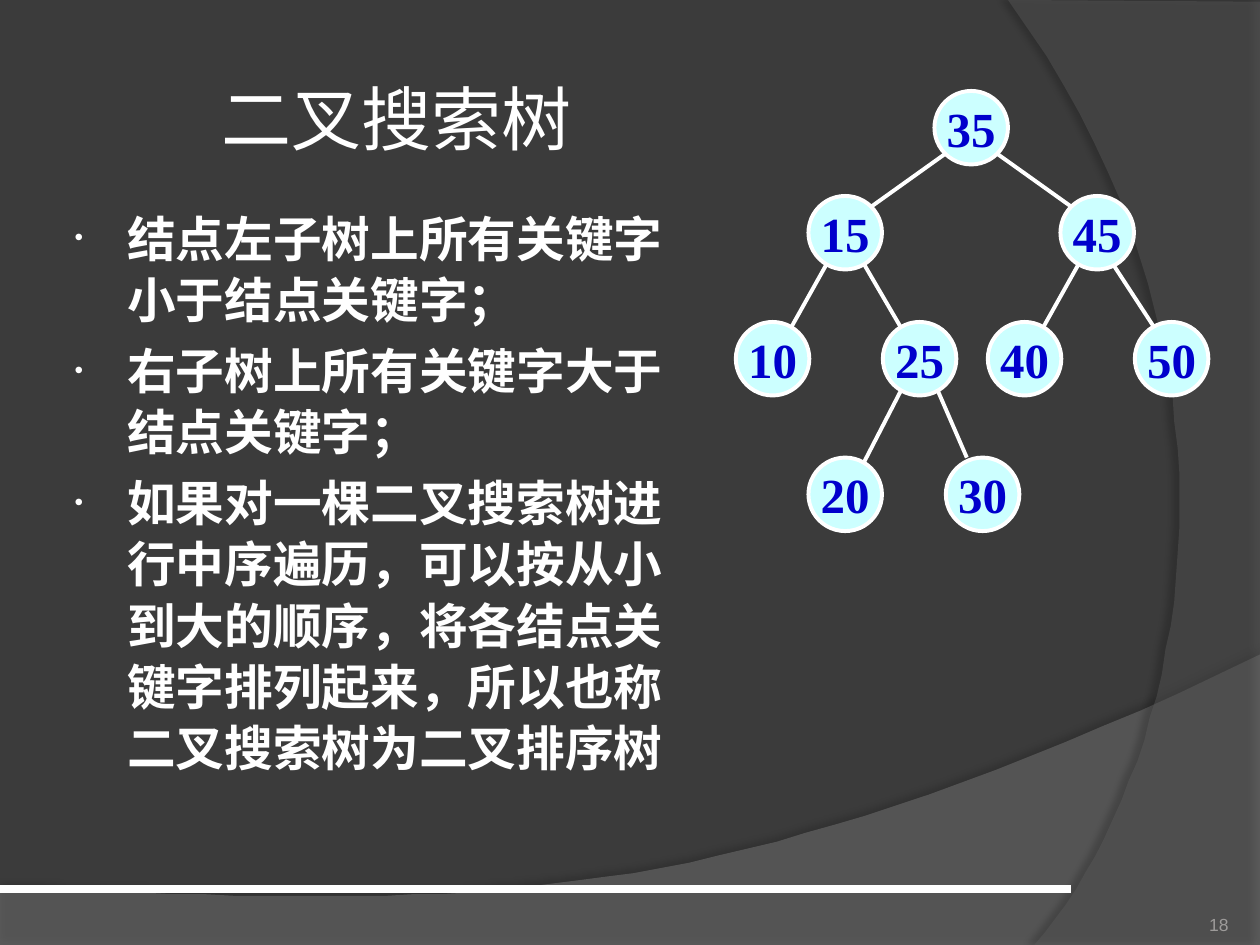
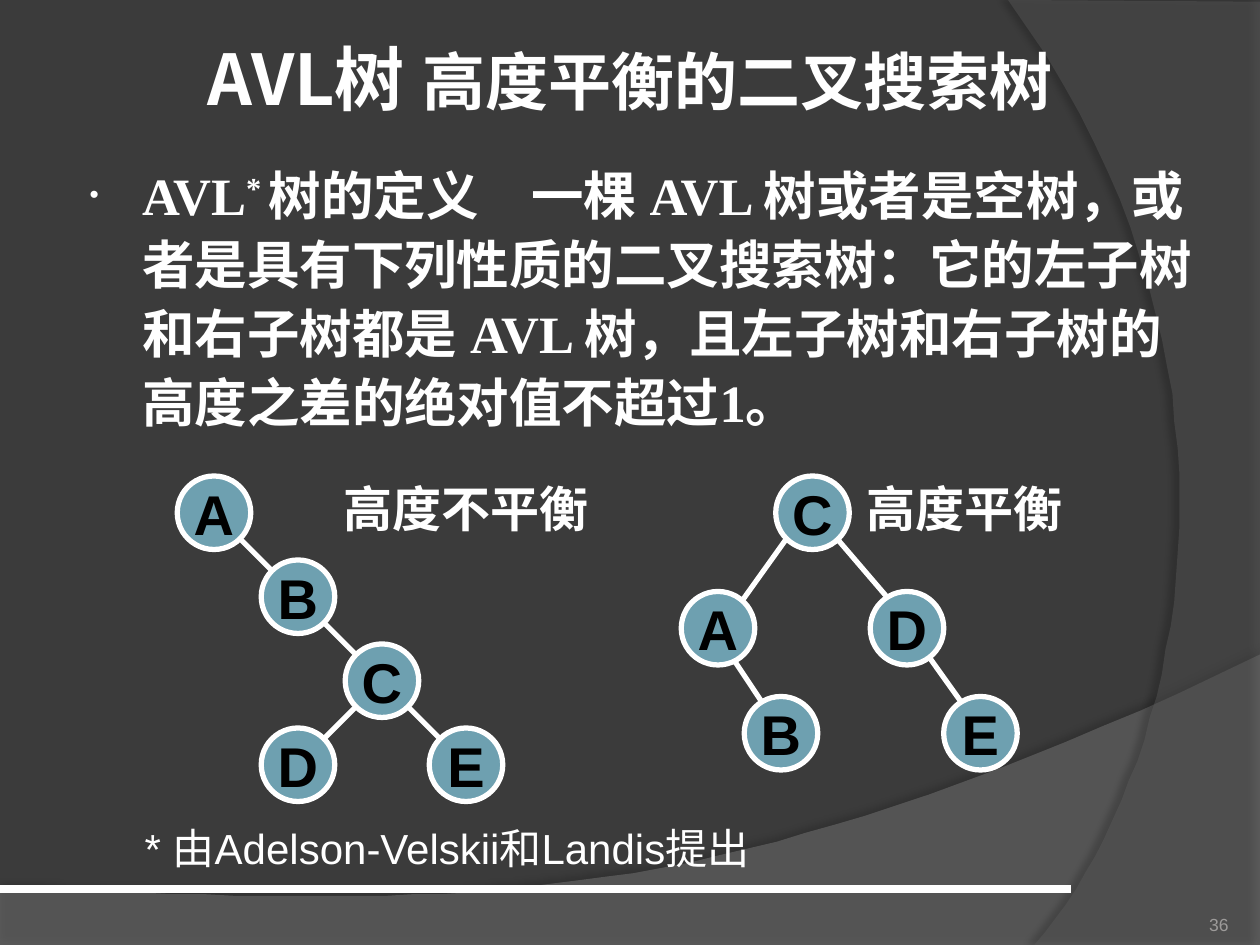
from dataclasses import dataclass

from lxml.etree import SubElement
from pptx import Presentation
from pptx.dml.color import RGBColor
from pptx.enum.shapes import MSO_CONNECTOR as Connector, MSO_SHAPE as Preset
from pptx.enum.text import MSO_ANCHOR as Anchor, MSO_AUTO_SIZE as AutoSize, PP_ALIGN as Align
from pptx.oxml.ns import qn
from pptx.util import Pt

COLORS = {
    "background": "3B3B3B",
    "white": "FFFFFF",
    "wave": "7F7F7F",
    "arc": "5E5E5E",
    "shadow": "000000",
    "page": "9D9B9A",
    "key_fill": "CCFFFF",
    "key_text": "0000CC",
    "letter_fill": "6EA0B0",
    "letter_text": "000000",
}
EAST_ASIAN_FONT = "Roboto"
NODE_SIZE = 42

Point = tuple[float, float]
Box = tuple[float, float, float, float]


@dataclass(frozen=True)
class TextStyle:
    size: float
    font: str
    color: str = "white"
    bold: bool = False
    superscript: bool = False


@dataclass(frozen=True)
class Band:
    start: Point
    lines: list[Point]
    curve: tuple[Point, Point, Point]
    color: str
    opacity: int
    shadow_opacity: int
    shadow_distance: float
    shadow_angle: int


@dataclass(frozen=True)
class Node:
    label: str
    left: float
    top: float


@dataclass(frozen=True)
class Edge:
    parent: str
    child: str
    leave: Point = (9, 15)
    arrive: Point = (9, 15)


@dataclass(frozen=True)
class TreeStyle:
    text: TextStyle
    fill: str
    line_width: float


Run = tuple[str, TextStyle]

BANDS = [
    Band((0, 507.6), [(0, 540), (720, 540), (720, 374.4)],
         ((402.5, 524.9), (281.5, 517.7), (0, 507.6)), "wave", 45, 35, 3.5, 270),
    Band((720, 1.4), [(720, 540), (591, 540)],
         ((673.2, 445.7), (733, 216), (576, 0)), "arc", 40, 45, 4, 180),
]

KEYS = TreeStyle(TextStyle(28, "Times New Roman", "key_text", True), "key_fill", 2.25)
LETTERS = TreeStyle(TextStyle(32, "Arial", "letter_text", True), "letter_fill", 3)

SEARCH_TREE = (
    [Node("35", 534, 52), Node("15", 462, 112), Node("45", 606, 112),
     Node("10", 420.5, 184), Node("25", 504.5, 184), Node("40", 564.5, 184),
     Node("50", 648.5, 184), Node("20", 462, 261.5), Node("30", 540.5, 261.5)],
    [Edge("35", "15", (15, 15), (15, 15)), Edge("35", "45", (15, 15), (15, 15)),
     Edge("15", "10"), Edge("15", "25"), Edge("45", "40"),
     Edge("45", "50", (9, 18), (10, 18)), Edge("25", "20"),
     Edge("25", "30", arrive=(9, 21))],
)
UNBALANCED_TREE = (
    [Node(label, 101.3 + 48 * column, 272 + 48 * row)
     for label, column, row in (("A", 0, 0), ("B", 1, 1), ("C", 2, 2),
                                ("D", 1, 3), ("E", 3, 3))],
    [Edge("A", "B", (3, 3), (9, 9)), Edge("B", "C", (3, 3), (9, 9)),
     Edge("C", "D", (9, 9), (3, 3)), Edge("C", "E", (3, 3), (9, 9))],
)
BALANCED_TREE = (
    [Node("C", 443.3, 272), Node("A", 389.3, 338), Node("D", 497.3, 338),
     Node("B", 425.3, 398), Node("E", 539.3, 398)],
    [Edge("C", "A", (15, 15), (9, 9)), Edge("C", "D", (9, 9)),
     Edge("A", "B", (3, 9)), Edge("D", "E", (3, 3))],
)


def rgb(name: str) -> RGBColor:
    return RGBColor.from_string(COLORS[name])


def place(shape, box: Box) -> None:
    shape.left, shape.top, shape.width, shape.height = map(Pt, box)


def add_run(paragraph, text: str, style: TextStyle) -> None:
    run = paragraph.add_run()
    run.text = text
    font = run.font
    font.size, font.name, font.bold = Pt(style.size), style.font, style.bold
    font.color.rgb = rgb(style.color)
    properties = font._element
    SubElement(properties, qn("a:ea"), typeface=EAST_ASIAN_FONT)
    if style.superscript:
        properties.set("baseline", "30000")


def add_label(slide, box: Box, text: str, style: TextStyle):
    label = slide.shapes.add_textbox(*map(Pt, box))
    label.text_frame.word_wrap = True
    add_run(label.text_frame.paragraphs[0], text, style)
    return label


def add_line(slide, start: Point, end: Point, width: float):
    line = slide.shapes.add_connector(Connector.STRAIGHT, *map(Pt, start + end))
    line.line.color.rgb = rgb("white")
    line.line.width = Pt(width)
    SubElement(line.element.spPr, qn("a:effectLst"))
    return line


def curve_points(start: Point, curve: tuple[Point, Point, Point], steps: int = 40) -> list[Point]:
    controls = (start, *curve)
    points = []
    for step in range(1, steps + 1):
        t = step / steps
        weights = ((1 - t) ** 3, 3 * t * (1 - t) ** 2, 3 * t ** 2 * (1 - t), t ** 3)
        points.append(tuple(sum(w * p[axis] for w, p in zip(weights, controls))
                            for axis in (0, 1)))
    return points


def add_band(slide, band: Band):
    outline = slide.shapes.build_freeform(*band.start, scale=float(Pt(1)))
    outline.add_line_segments(band.lines + curve_points(band.lines[-1], band.curve))
    shape = outline.convert_to_shape()
    shape.fill.solid()
    shape.fill.fore_color.rgb = rgb(band.color)
    shape.line.fill.background()
    properties = shape.element.spPr
    fill_color = properties.find(qn("a:solidFill"))[0]
    SubElement(fill_color, qn("a:alpha"), val=str(band.opacity * 1000))
    effects = SubElement(properties, qn("a:effectLst"))
    shadow = SubElement(effects, qn("a:outerShdw"), blurRad=str(Pt(4)),
                        dist=str(Pt(band.shadow_distance)),
                        dir=str(band.shadow_angle * 60000), rotWithShape="0")
    color = SubElement(shadow, qn("a:srgbClr"), val=COLORS["shadow"])
    SubElement(color, qn("a:alpha"), val=str(band.shadow_opacity * 1000))
    return shape


def decorate_layout(layout, slide) -> None:
    layout.background.fill.solid()
    layout.background.fill.fore_color.rgb = rgb("background")
    scenery = [add_band(slide, band) for band in BANDS]
    scenery.append(add_line(slide, (0, 508), (612, 508), 4.5))
    for index, part in enumerate(scenery, start=2):
        layout.shapes.element.insert(index, part.element)


def set_title(slide, box: Box, runs: list[Run]) -> None:
    title = slide.shapes.title
    place(title, box)
    frame = title.text_frame
    frame.auto_size, frame.vertical_anchor = AutoSize.NONE, Anchor.MIDDLE
    frame.margin_left = frame.margin_right = Pt(3.6)
    frame.margin_top = frame.margin_bottom = Pt(3.6)
    frame.paragraphs[0].alignment = Align.CENTER
    for text, style in runs:
        add_run(frame.paragraphs[0], text, style)


def set_body(slide, box: Box, items: list[list[Run]], line_spacing: float) -> None:
    body = slide.placeholders[1]
    place(body, box)
    frame = body.text_frame
    frame.auto_size = AutoSize.NONE
    for index, runs in enumerate(items):
        paragraph = frame.add_paragraph() if index else frame.paragraphs[0]
        paragraph.line_spacing = line_spacing
        paragraph.space_before = Pt(0.2 * runs[0][1].size)
        properties = paragraph._p.get_or_add_pPr()
        properties.set("marL", str(Pt(33)))
        properties.set("indent", str(Pt(-30)))
        bullet_color = SubElement(properties, qn("a:buClr"))
        SubElement(bullet_color, qn("a:srgbClr"), val=COLORS["white"])
        SubElement(properties, qn("a:buSzPct"), val="50000")
        SubElement(properties, qn("a:buFont"), typeface="Arial")
        SubElement(properties, qn("a:buChar"), char="•")
        for text, style in runs:
            add_run(paragraph, text, style)


def add_page_number(slide, number: str) -> None:
    page = add_label(slide, (642, 505.5, 60, 28.8), number, TextStyle(10, "Arial", "page"))
    frame = page.text_frame
    frame.vertical_anchor = Anchor.BOTTOM
    frame.margin_left = frame.margin_right = frame.margin_top = frame.margin_bottom = 0
    frame.paragraphs[0].alignment = Align.RIGHT


def add_tree(slide, tree: tuple[list[Node], list[Edge]], style: TreeStyle) -> None:
    nodes, edges = tree
    centers = {node.label: (node.left + NODE_SIZE / 2, node.top + NODE_SIZE / 2)
               for node in nodes}
    for edge in edges:
        (px, py), (cx, cy) = centers[edge.parent], centers[edge.child]
        side = 1 if cx > px else -1
        add_line(slide, (px + side * edge.leave[0], py + edge.leave[1]),
                 (cx - side * edge.arrive[0], cy - edge.arrive[1]), style.line_width)
    for node in nodes:
        circle = slide.shapes.add_shape(
            Preset.OVAL, *map(Pt, (node.left, node.top, NODE_SIZE, NODE_SIZE)))
        circle.shadow.inherit = False
        circle.fill.solid()
        circle.fill.fore_color.rgb = rgb(style.fill)
        circle.line.color.rgb = rgb("white")
        circle.line.width = Pt(style.line_width)
        frame = circle.text_frame
        frame.word_wrap, frame.vertical_anchor = False, Anchor.MIDDLE
        frame.paragraphs[0].alignment = Align.CENTER
        add_run(frame.paragraphs[0], node.label, style.text)


def build_search_tree_slide(slide) -> None:
    set_title(slide, (87, 34.5, 279.5, 65), [("二叉搜索树", TextStyle(40, "Roboto"))])
    rule = TextStyle(27.8, "Arial", bold=True)
    rules = [
        "结点左子树上所有关键字小于结点关键字；",
        "右子树上所有关键字大于结点关键字；",
        "如果对一棵二叉搜索树进行中序遍历，可以按从小到大的顺序，"
        "将各结点关键字排列起来，所以也称二叉搜索树为二叉排序树",
    ]
    set_body(slide, (32.4, 113.8, 368, 354.2), [[(text, rule)] for text in rules], 1.05)
    add_page_number(slide, "18")
    add_tree(slide, SEARCH_TREE, KEYS)


def build_avl_slide(slide) -> None:
    heading = "Noto Sans CJK JP"
    set_title(slide, (87.8, 3, 544.3, 82), [
        ("AVL树 ", TextStyle(40, heading, bold=True)),
        ("高度平衡的二叉搜索树", TextStyle(36, heading, bold=True)),
    ])
    definition = TextStyle(30, "Times New Roman", bold=True)
    mark = TextStyle(30, "Times New Roman", bold=True, superscript=True)
    set_body(slide, (41, 85.7, 648, 200.9), [[
        ("AVL", definition),
        ("* ", mark),
        ("树的定义　一棵 AVL 树或者是空树，或者是具有下列性质的二叉搜索树："
         "它的左子树和右子树都是 AVL 树，且左子树和右子树的高度之差的绝对值不超过1。",
         definition),
    ]], 1.1)
    add_page_number(slide, "36")
    caption = TextStyle(28, "Times New Roman", bold=True)
    for left, text in ((189.5, "高度不平衡"), (488, "高度平衡")):
        add_label(slide, (left, 270, 160, 41), text, caption)
    add_tree(slide, UNBALANCED_TREE, LETTERS)
    add_tree(slide, BALANCED_TREE, LETTERS)
    add_label(slide, (75.6, 466.6, 483, 36), "* 由Adelson-Velskii和Landis提出",
              TextStyle(24, "Arial"))


def main() -> None:
    deck = Presentation()
    deck.slide_width, deck.slide_height = Pt(720), Pt(540)
    layout = deck.slide_layouts[1]
    search_tree, avl = (deck.slides.add_slide(layout) for _ in range(2))
    decorate_layout(layout, search_tree)
    build_search_tree_slide(search_tree)
    build_avl_slide(avl)
    deck.save("out.pptx")


if __name__ == "__main__":
    main()
